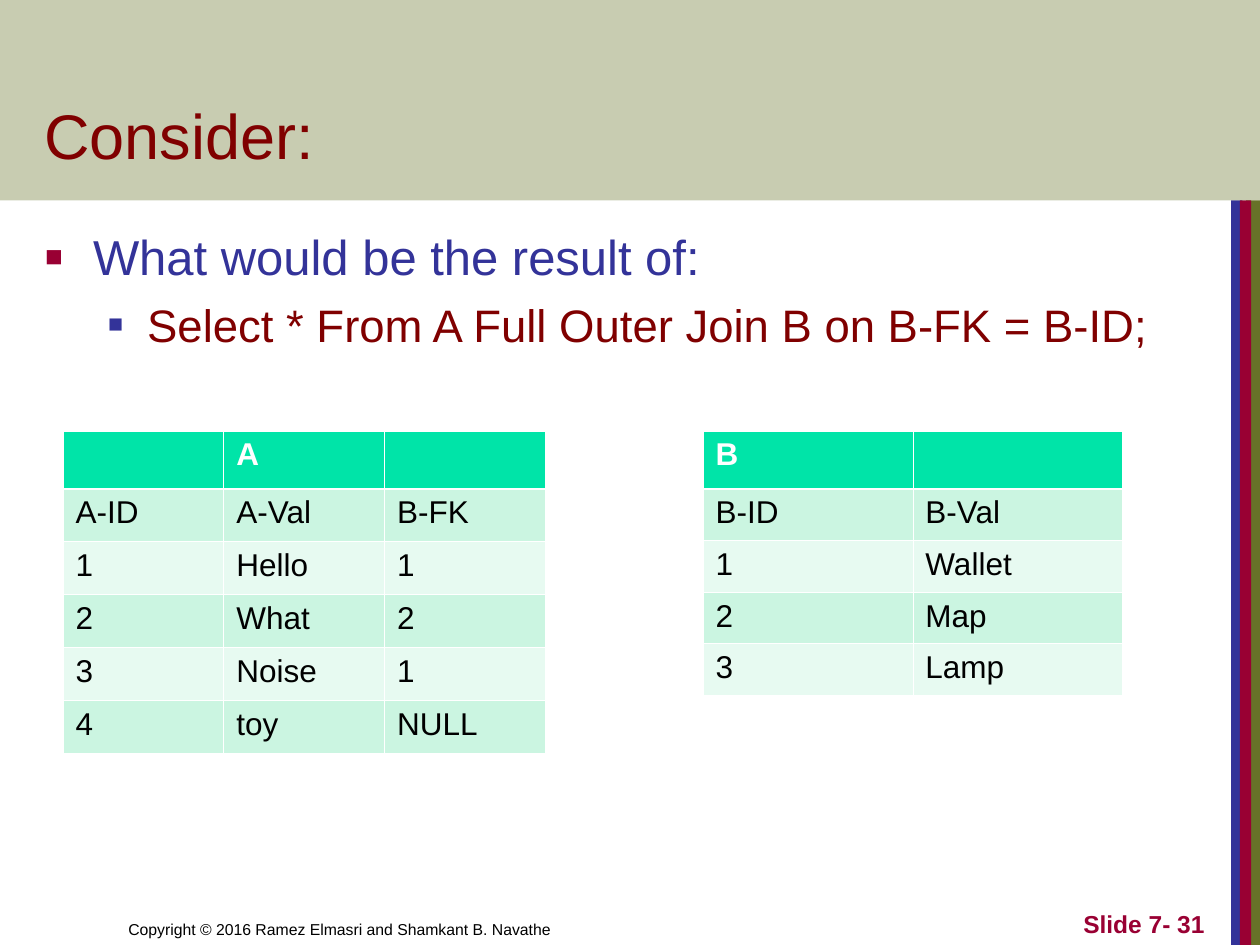
from lxml.etree import SubElement
from pptx import Presentation
from pptx.dml.color import RGBColor
from pptx.enum.shapes import MSO_SHAPE
from pptx.enum.text import MSO_ANCHOR, MSO_AUTO_SIZE, PP_ALIGN
from pptx.oxml import parse_xml
from pptx.oxml.ns import nsdecls, qn
from pptx.util import Inches, Pt

COLORS = {
    "olive": "677228", "blue": "333399", "crimson": "990033", "maroon": "800000",
    "header": "00E4A8", "odd": "CBF5E1", "even": "E7FAF1",
    "white": "FFFFFF", "black": "000000",
}
FONT = "Arial"
TITLE = "Consider:"
STRIPES = [("olive", 9.89, 0.11), ("blue", 9.77, 0.09), ("crimson", 9.84, 0.09)]
BANNER_HEIGHT = 1.59
QUESTION = [
    ("What would be the result of:", 0, 28, "blue", "crimson", 60, 0.38, 0.38, 7),
    ("Select * From A Full Outer Join B on B-FK = B-ID;", 1, 26, "maroon", "blue", 55, 0.81, 0.31, 6.5),
]
FOOTERS = [
    ("Copyright © 2016 Ramez Elmasri and Shamkant B. Navathe", 0.92, 4.92, 9, "black", False, PP_ALIGN.LEFT),
    ("Slide 7- 31", 7.58, 2.08, 14, "crimson", True, PP_ALIGN.RIGHT),
]
RELATIONS = [
    (0.5, 3.83, 0.42, [
        ("", "A", ""),
        ("A-ID", "A-Val", "B-FK"),
        ("1", "Hello", "1"),
        ("2", "What", "2"),
        ("3", "Noise", "1"),
        ("4", "toy", "NULL"),
    ]),
    (5.58, 3.33, 0.41, [
        ("B", ""),
        ("B-ID", "B-Val"),
        ("1", "Wallet"),
        ("2", "Map"),
        ("3", "Lamp"),
    ]),
]
RELATION_TOP = 3.42
HEADER_ROW_HEIGHT = 0.46


def rgb(name):
    return RGBColor.from_string(COLORS[name])


def style(paragraph, size, color, bold=False):
    font = paragraph.font
    font.name, font.size, font.bold = FONT, Pt(size), bold
    font.color.rgb = rgb(color)


def add_block(slide, left, top, width, height, color):
    block = slide.shapes.add_shape(
        MSO_SHAPE.RECTANGLE, Inches(left), Inches(top), Inches(width), Inches(height))
    block.shadow.inherit = False
    block.fill.solid()
    block.fill.fore_color.rgb = rgb(color)
    block.line.fill.background()
    return block


def add_bullet(paragraph, color, percent, margin, hanging):
    properties = paragraph._p.get_or_add_pPr()
    properties.set("marL", str(Inches(margin)))
    properties.set("indent", str(-Inches(hanging)))
    bullet = [
        f'<a:buClr {nsdecls("a")}><a:srgbClr val="{COLORS[color]}"/></a:buClr>',
        f'<a:buSzPct {nsdecls("a")} val="{percent * 1000}"/>',
        f'<a:buFont {nsdecls("a")} typeface="{FONT}"/>',
        f'<a:buChar {nsdecls("a")} char="■"/>',
    ]
    default_font = properties.find(qn("a:defRPr"))
    for part in bullet:
        default_font.addprevious(parse_xml(part))


def add_borders(cell, widths):
    properties = cell._tc.get_or_add_tcPr()
    for position, (side, width) in enumerate(widths.items()):
        properties.insert(position, parse_xml(
            f'<a:ln{side} {nsdecls("a")} w="{Pt(width)}"><a:solidFill>'
            f'<a:srgbClr val="{COLORS["white"]}"/></a:solidFill></a:ln{side}>'))


def add_relation(slide, left, width, row_height, rows):
    heights = [HEADER_ROW_HEIGHT] + [row_height] * (len(rows) - 1)
    relation = slide.shapes.add_table(
        len(rows), len(rows[0]), Inches(left), Inches(RELATION_TOP),
        Inches(width), Inches(sum(heights))).table
    for column in relation.columns:
        column.width = Inches(width / len(rows[0]))
    for r, (values, height) in enumerate(zip(rows, heights)):
        relation.rows[r].height = Inches(height)
        band = "header" if r == 0 else "odd" if r % 2 else "even"
        for c, value in enumerate(values):
            cell = relation.cell(r, c)
            cell.text = value
            style(cell.text_frame.paragraphs[0], 18, "white" if r == 0 else "black", r == 0)
            cell.fill.solid()
            cell.fill.fore_color.rgb = rgb(band)
            add_borders(cell, {
                "L": 0.45, "R": 0.45,
                "T": 1.47 if r == 1 else 0.45,
                "B": 1.47 if r == 0 else 0.45,
            })


def add_text_area(slide, left, top, width, height):
    area = slide.shapes.add_textbox(Inches(left), Inches(top), Inches(width), Inches(height))
    area.text_frame.word_wrap = True
    return area.text_frame


def main():
    deck = Presentation()
    deck.slide_width, deck.slide_height = Inches(10), Inches(7.5)
    slide = deck.slides.add_slide(deck.slide_layouts[5])

    for color, left, width in STRIPES:
        add_block(slide, left, BANNER_HEIGHT, width, 7.5 - BANNER_HEIGHT, color)
    banner = add_block(slide, 0, 0, 10, BANNER_HEIGHT, "olive")
    banner_color = banner.element.spPr.find(qn("a:solidFill")).find(qn("a:srgbClr"))
    SubElement(banner_color, qn("a:alpha")).set("val", "36000")

    title = slide.shapes.title
    banner.element.addnext(title.element)
    title.left, title.top = Inches(0.25), Inches(0.33)
    title.width, title.height = Inches(8.53), Inches(1.09)
    title.text_frame.text = TITLE
    title.text_frame.auto_size = MSO_AUTO_SIZE.NONE
    title.text_frame.vertical_anchor = MSO_ANCHOR.BOTTOM
    heading = title.text_frame.paragraphs[0]
    heading.alignment = PP_ALIGN.LEFT
    style(heading, 36, "maroon")

    question = add_text_area(slide, 0.26, 1.75, 8.99, 1.17)
    question.margin_right = 0
    for i, (text, level, size, color, bullet_color, percent, margin, hanging, gap) in enumerate(QUESTION):
        paragraph = question.add_paragraph() if i else question.paragraphs[0]
        paragraph.text = text
        paragraph.level = level
        paragraph.space_before = Pt(gap)
        style(paragraph, size, color)
        add_bullet(paragraph, bullet_color, percent, margin, hanging)

    for text, left, width, size, color, bold, alignment in FOOTERS:
        footer = add_text_area(slide, left, 7, width, 0.5)
        footer.vertical_anchor = MSO_ANCHOR.BOTTOM
        paragraph = footer.paragraphs[0]
        paragraph.text = text
        paragraph.alignment = alignment
        style(paragraph, size, color, bold)

    for relation in RELATIONS:
        add_relation(slide, *relation)

    deck.save("out.pptx")


if __name__ == "__main__":
    main()
